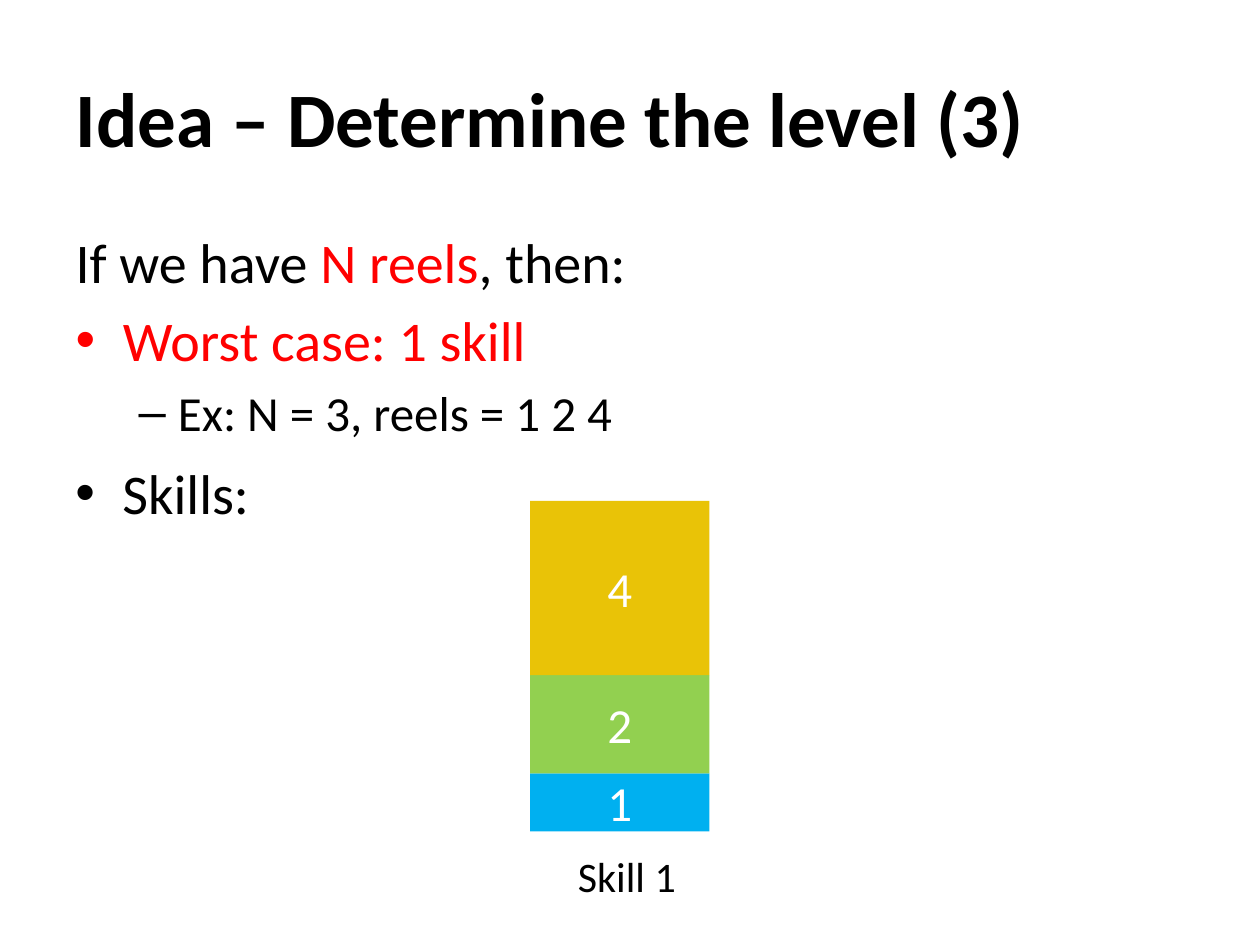
from dataclasses import dataclass

from lxml import etree
from pptx import Presentation
from pptx import util as u
from pptx.dml.color import RGBColor
from pptx.enum import shapes, text
from pptx.oxml import ns


@dataclass(frozen=True)
class Theme:
    font: str = "Calibri"
    ink: str = "000000"
    accent: str = "FF0000"
    light: str = "FFFFFF"
    blue: str = "00B0F0"
    green: str = "92D050"
    gold: str = "E9C307"
    title_size: int = 44
    body_size: int = 32
    detail_size: int = 28
    caption_size: int = 24


theme = Theme()


def format_runs(paragraph, size, *colors):
    """Format the runs, one color for each; space before is a fifth of the size."""
    paragraph.space_before = u.Pt(size * 0.2)
    for run, color in zip(paragraph.runs, colors):
        run.font.name = theme.font
        run.font.size = u.Pt(size)
        run.font.color.rgb = RGBColor.from_string(color)


def set_bullet(paragraph, character=None):
    """Hang the paragraph on a bullet, or remove bullet and indent."""
    properties = paragraph._p.get_or_add_pPr()
    indent = u.Cm(0.95) if character else 0
    properties.set("marL", str(indent))
    properties.set("indent", str(-indent))
    if character:
        font = etree.SubElement(properties, ns.qn("a:buFont"))
        font.set("typeface", "Arial")
        bullet = etree.SubElement(properties, ns.qn("a:buChar"))
        bullet.set("char", character)
    else:
        etree.SubElement(properties, ns.qn("a:buNone"))


presentation = Presentation()
presentation.slide_width = u.Cm(25.4)
presentation.slide_height = u.Cm(19.05)
slide = presentation.slides.add_slide(presentation.slide_layouts[1])
title, body = slide.placeholders

# Title
title.left, title.top, title.width, title.height = (
    u.Cm(1.27), u.Cm(0.76), u.Cm(22.86), u.Cm(3.18))
title.text_frame.text = "Idea – Determine the level (3)"
paragraph = title.text_frame.paragraphs[0]
paragraph.alignment = text.PP_ALIGN.LEFT
format_runs(paragraph, theme.title_size, theme.ink)
paragraph.space_before = u.Pt(0)
paragraph.runs[0].font.bold = True

# Body list
body.left, body.top, body.width, body.height = (
    u.Cm(1.27), u.Cm(4.45), u.Cm(22.86), u.Cm(12.57))
intro = body.text_frame.paragraphs[0]
for words in ("If we have ", "N reels", ", then:"):
    intro.add_run().text = words
format_runs(intro, theme.body_size, theme.ink, theme.accent, theme.ink)
set_bullet(intro)

for words, level, size, color in (
    ("Worst case: 1 skill", 0, theme.body_size, theme.accent),
    ("Ex: N = 3, reels = 1 2 4", 1, theme.detail_size, theme.ink),
):
    paragraph = body.text_frame.add_paragraph()
    paragraph.text = words
    paragraph.level = level
    format_runs(paragraph, size, color)

# Reels stacked from the bottom up
bottom = u.Cm(16.76)
for label, height, color in (
    ("1", u.Cm(1.17), theme.blue),
    ("2", u.Cm(1.98), theme.green),
    ("4", u.Cm(3.51), theme.gold),
):
    bottom -= height
    reel = slide.shapes.add_shape(
        shapes.MSO_SHAPE.RECTANGLE, u.Cm(10.69), bottom, u.Cm(3.61), height)
    reel.shadow.inherit = False
    reel.fill.solid()
    reel.fill.fore_color.rgb = RGBColor.from_string(color)
    reel.line.fill.background()
    reel.text_frame.text = label
    reel.text_frame.vertical_anchor = text.MSO_ANCHOR.MIDDLE
    paragraph = reel.text_frame.paragraphs[0]
    paragraph.alignment = text.PP_ALIGN.CENTER
    format_runs(paragraph, theme.detail_size, theme.light)
    paragraph.space_before = u.Pt(0)

# Labels for the stack
for words, left, top, width, height, size, bullet in (
    ("Skills:", 1.27, 9.12, 4.39, 1.55, theme.body_size, "•"),
    ("Skill 1", 11.4, 17.02, 2.59, 1.19, theme.caption_size, None),
):
    label = slide.shapes.add_textbox(u.Cm(left), u.Cm(top), u.Cm(width), u.Cm(height))
    label.text_frame.word_wrap = True
    label.text_frame.text = words
    paragraph = label.text_frame.paragraphs[0]
    format_runs(paragraph, size, theme.ink)
    set_bullet(paragraph, bullet)

presentation.save("out.pptx")
